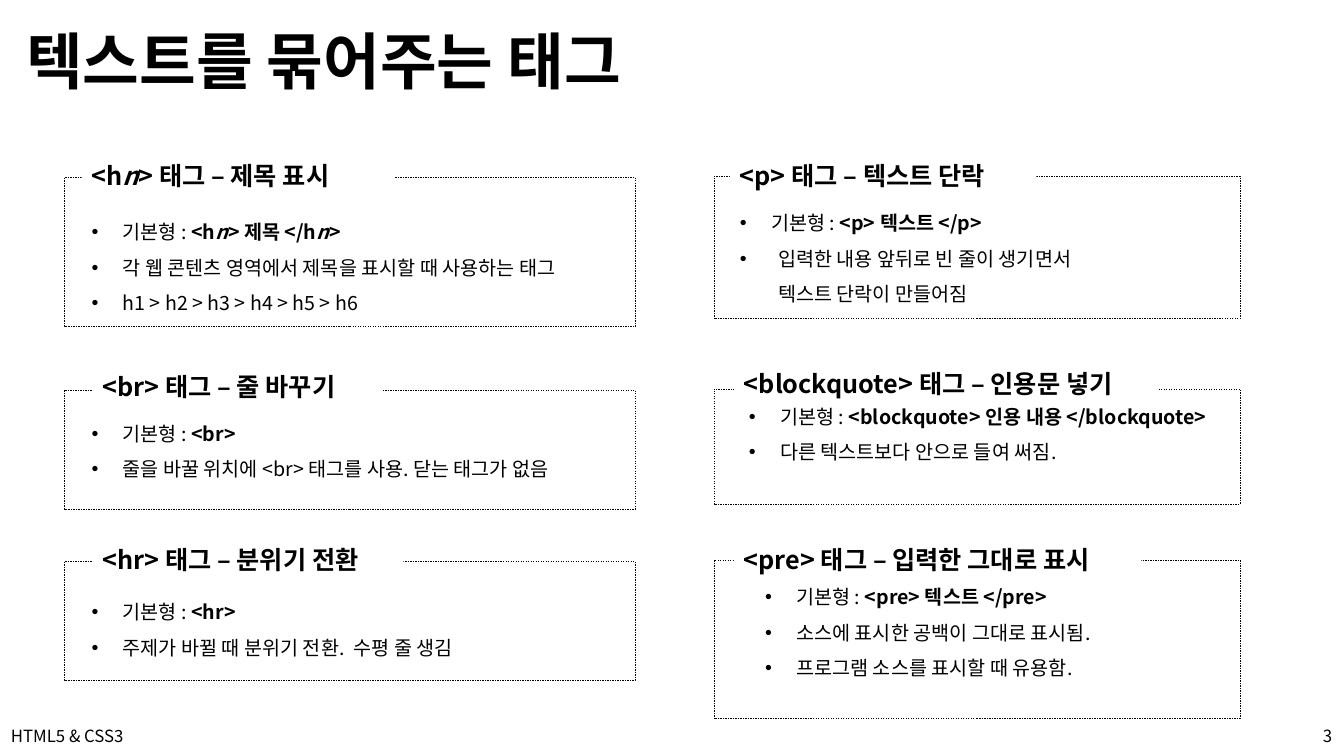
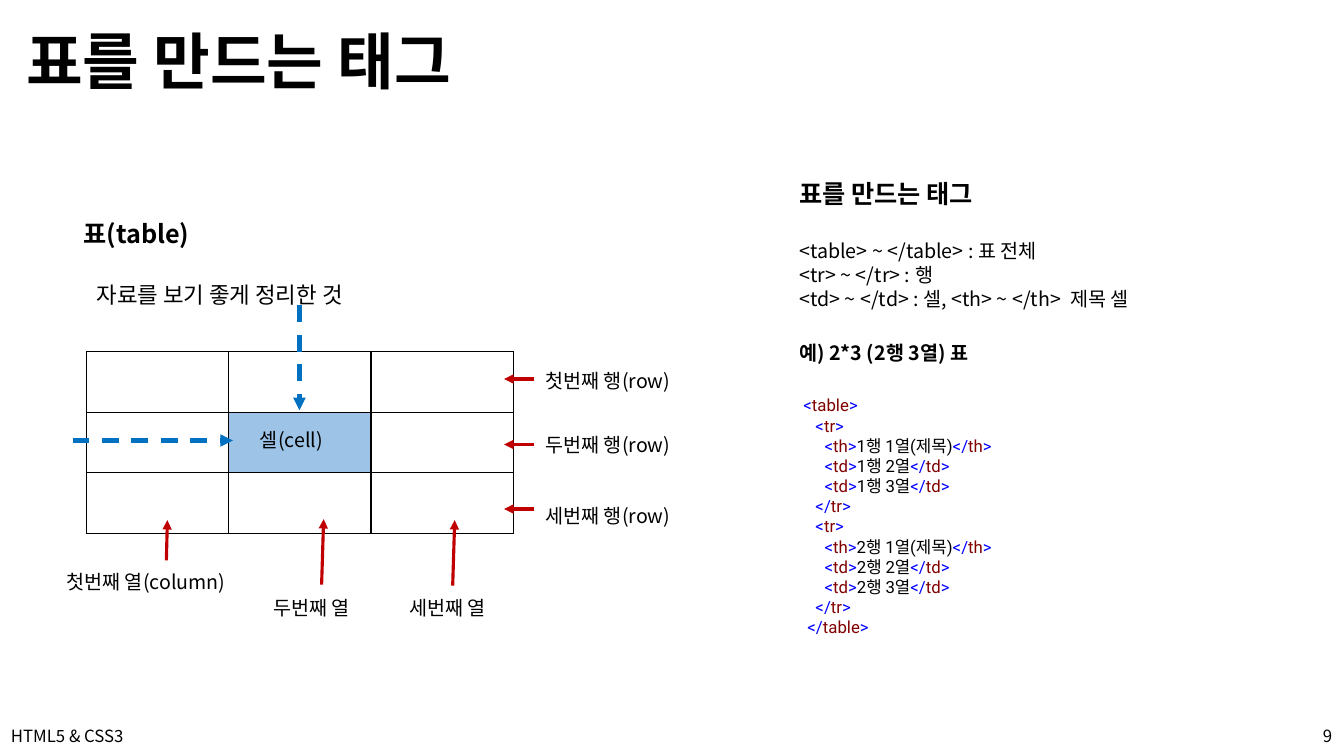
from lxml import etree
from pptx import Presentation
from pptx import util as u
from pptx.dml.color import RGBColor
from pptx.enum import dml, shapes, text
from pptx.oxml.ns import qn

PX = 9144  # 100 px to the inch
BLACK = RGBColor(0x00, 0x00, 0x00)
WHITE = RGBColor(0xFF, 0xFF, 0xFF)
CELL_BLUE = RGBColor(0x9D, 0xC3, 0xE6)
ARROW_BLUE = RGBColor(0x00, 0x70, 0xC0)
ARROW_RED = RGBColor(0xC0, 0x00, 0x00)
CODE_BLUE = RGBColor(0x00, 0x00, 0xFF)
CODE_MAROON = RGBColor(0x80, 0x00, 0x00)
SANS, CODE = "Noto Sans CJK KR", "Roboto"
BOLD = {"bold": True}
BOLD_ITALIC = {"bold": True, "italic": True}


def add_box(page, left, top, width, height, anchor=text.MSO_ANCHOR.TOP):
    box = page.shapes.add_textbox(left * PX, top * PX, width * PX, height * PX)
    box.text_frame.word_wrap = True
    box.text_frame.vertical_anchor = anchor
    return box


def write(frame, content, size=14, bold=False, italic=False, color=BLACK, font=SANS,
          align=text.PP_ALIGN.LEFT, spacing=1.0, after=0, left=0, bullet=False):
    """Add a paragraph; content is a string or a list of (string, format changes)."""
    para = frame.paragraphs[0]
    if para.runs:
        para = frame.add_paragraph()
    para.alignment, para.line_spacing, para.space_after = align, spacing, u.Pt(after)
    props = para._p.get_or_add_pPr()
    props.set("marL", str(left * PX))
    props.set("indent", str(-left * PX if bullet else 0))
    if bullet:
        etree.SubElement(props, qn("a:buFont"), typeface="Arial")
        etree.SubElement(props, qn("a:buChar"), char="•")
    runs = [(content, {})] if isinstance(content, str) else content
    for words, changes in runs:
        look = {"bold": bold, "italic": italic, "color": color, **changes}
        for number, line in enumerate(words.split("\n")):
            if number:
                para.add_line_break()
                etree.SubElement(para._p[-1], qn("a:rPr"), sz=str(size * 100))
            span = para.add_run()
            span.text = line
            span.font.size, span.font.name = u.Pt(size), font
            span.font.bold, span.font.italic = look["bold"], look["italic"]
            span.font.color.rgb = look["color"]
            etree.SubElement(span._r.get_or_add_rPr(), qn("a:ea"), typeface=SANS)


deck = Presentation()
deck.slide_width, deck.slide_height = 1333 * PX, 750 * PX

# Titles and footers
pages = []
for title, number in [("텍스트를 묶어주는 태그", "3"), ("표를 만드는 태그", "9")]:
    page = deck.slides.add_slide(deck.slide_layouts[5])
    heading = page.shapes.title
    heading.left, heading.top, heading.width, heading.height = (
        16 * PX, 12 * PX, 725 * PX, 104 * PX)
    heading.text_frame.auto_size = text.MSO_AUTO_SIZE.NONE
    heading.text_frame.vertical_anchor = text.MSO_ANCHOR.MIDDLE
    write(heading.text_frame, title, size=44, bold=True, spacing=0.9)
    footer = add_box(page, 1, 710, 262, 40, text.MSO_ANCHOR.MIDDLE)
    write(footer.text_frame, "HTML5 & CSS3", size=12)
    corner = add_box(page, 1220, 710, 111, 40, text.MSO_ANCHOR.MIDDLE)
    write(corner.text_frame, number, size=12, align=text.PP_ALIGN.RIGHT)
    pages.append(page)
tags_page, table_page = pages

# Tag cards: frame, heading place, heading, list place, items with their indent
BASIC = ("기본형 : ", {})
cards = [
    ((64, 176, 566, 148), (81, 154, 310),
     [("<h", {}), ("n", BOLD_ITALIC), ("> 태그 – 제목 표시", {})], (81, 202, 600, 136),
     [([BASIC, ("<h", BOLD), ("n", BOLD_ITALIC), ("> 제목 </h", BOLD),
        ("n", BOLD_ITALIC), (">", BOLD)], 31),
      ("각 웹 콘텐츠 영역에서 제목을 표시할 때 사용하는 태그", 31),
      ("h1 > h2 > h3 > h4 > h5 > h6", 31)]),
    ((64, 387, 566, 118), (92, 363, 287), "<br> 태그 – 줄 바꾸기", (81, 402, 600, 81),
     [([BASIC, ("<br>", BOLD)], 31),
      ("줄을 바꿀 위치에 <br> 태그를 사용. 닫는 태그가 없음", 31)]),
    ((64, 557, 566, 118), (92, 535, 308), "<hr> 태그 – 분위기 전환", (81, 579, 600, 81),
     [([BASIC, ("<hr>", BOLD)], 31),
      ("주제가 바뀔 때 분위기 전환.  수평 줄 생김", 31)]),
    ((708, 175, 522, 141), (724, 154, 304), "<p> 태그 – 텍스트 단락", (724, 193, 428, 116),
     [([BASIC, ("<p> 텍스트 </p>", BOLD)], 31),
      ("입력한 내용 앞뒤로 빈 줄이 생기면서 \n텍스트 단락이 만들어짐", 38)]),
    ((708, 386, 522, 114), (728, 360, 421), "<blockquote> 태그 – 인용문 넣기",
     (733, 385, 600, 81),
     [([BASIC, ("<blockquote> 인용 내용 </blockquote>", BOLD)], 31),
      ("다른 텍스트보다 안으로 들여 써짐.", 31)]),
    ((708, 556, 522, 157), (728, 535, 404), "<pre> 태그 – 입력한 그대로 표시",
     (749, 564, 600, 136),
     [([BASIC, ("<pre> 텍스트 </pre>", BOLD)], 31),
      ("소스에 표시한 공백이 그대로 표시됨.", 31),
      ("프로그램 소스를 표시할 때 유용함.", 31)]),
]
for frame_place, (left, top, width), tag_title, list_place, items in cards:
    frame = tags_page.shapes.add_shape(
        shapes.MSO_SHAPE.RECTANGLE, *[length * PX for length in frame_place])
    frame.shadow.inherit = False
    frame.fill.background()
    frame.line.color.rgb = BLACK
    frame.line.width = u.Pt(0.25)
    frame.line.dash_style = dml.MSO_LINE.DASH
    label = add_box(tags_page, left, top, width, 40)
    label.fill.solid()
    label.fill.fore_color.rgb = WHITE
    write(label.text_frame, tag_title, size=18, bold=True)
    item_box = add_box(tags_page, *list_place)
    for item, indent in items:
        write(item_box.text_frame, item, spacing=1.5, left=indent, bullet=True)

# Table heading and description
write(add_box(table_page, 73, 212, 466, 40).text_frame, "표(table)", size=18, bold=True)
write(add_box(table_page, 86, 261, 575, 45).text_frame, "자료를 보기 좋게 정리한 것",
      size=16, spacing=1.5)

# Table grid with the middle cell filled
COLUMN, ROW = 141, 60
grid = table_page.shapes.add_table(3, 3, 86 * PX, 349 * PX, 3 * COLUMN * PX, 3 * ROW * PX).table
grid.first_row = grid.horz_banding = False
for column in grid.columns:
    column.width = COLUMN * PX
for row in grid.rows:
    row.height = ROW * PX
for cell in grid.iter_cells():
    props = cell._tc.get_or_add_tcPr()
    for side in ("a:lnL", "a:lnR", "a:lnT", "a:lnB"):
        border = etree.SubElement(props, qn(side), w=str(u.Pt(1)))
        fill = etree.SubElement(border, qn("a:solidFill"))
        etree.SubElement(fill, qn("a:srgbClr"), val=str(BLACK))
    cell.fill.background()
middle = grid.cell(1, 1)
middle.fill.solid()
middle.fill.fore_color.rgb = CELL_BLUE

# Row, column and cell labels
for left, top, width, words in [
    (531, 361, 212, "첫번째 행(row)"),
    (531, 425, 212, "두번째 행(row)"),
    (531, 495, 212, "세번째 행(row)"),
    (56, 560, 190, "첫번째 열(column)"),
    (261, 586, 117, "두번째 열"),
    (396, 586, 110, "세번째 열"),
    (248, 420, 91, "셀(cell)"),
]:
    write(add_box(table_page, left, top, width, 34).text_frame, words)

# Arrows: red for rows and columns, dashed blue for the cell
arrows = [(530, y, 500, y, False) for y in (376, 441, 505)]
arrows += [(165, 556, 166, 516, False), (319, 580, 321, 515, False), (449, 581, 451, 516, False)]
arrows += [(72, 437, 231, 437, True), (297, 303, 297, 407, True)]
for x1, y1, x2, y2, dashed in arrows:
    arrow = table_page.shapes.add_connector(
        shapes.MSO_CONNECTOR.STRAIGHT, x1 * PX, y1 * PX, x2 * PX, y2 * PX)
    arrow.line.color.rgb = ARROW_BLUE if dashed else ARROW_RED
    arrow.line.width = u.Pt(3 if dashed else 2.25)
    if dashed:
        arrow.line.dash_style = dml.MSO_LINE.DASH
    etree.SubElement(arrow.line._get_or_add_ln(), qn("a:tailEnd"), type="triangle")
    etree.SubElement(arrow._element.spPr, qn("a:effectLst"))

# Table tags and example code
notes = add_box(table_page, 783, 172, 449, 471).text_frame
write(notes, "표를 만드는 태그", size=18, bold=True, after=22)
write(notes, "<table> ~ </table> : 표 전체")
write(notes, "<tr> ~ </tr> : 행")
write(notes, "<td> ~ </td> : 셀, <th> ~ </th>  제목 셀", after=22)
write(notes, "예) 2*3 (2행 3열) 표", bold=True, after=22)

code_lines = [(4, "<", "table", "")]
for row in (1, 2):
    code_lines += [
        (16, "<", "tr", ""),
        (25, "<", "th", f"{row}행 1열(제목)"),
        (25, "<", "td", f"{row}행 2열"),
        (25, "<", "td", f"{row}행 3열"),
        (16, "</", "tr", ""),
    ]
code_lines.append((8, "</", "table", ""))
for indent, opening, tag, content in code_lines:
    mark, name = {"color": CODE_BLUE}, {"color": CODE_MAROON}
    spans = [(opening, mark), (tag, name), (">", mark)]
    if content:
        spans += [(content, {}), ("</", mark), (tag, name), (">", mark)]
    write(notes, spans, size=12, font=CODE, left=indent)

deck.save("out.pptx")
